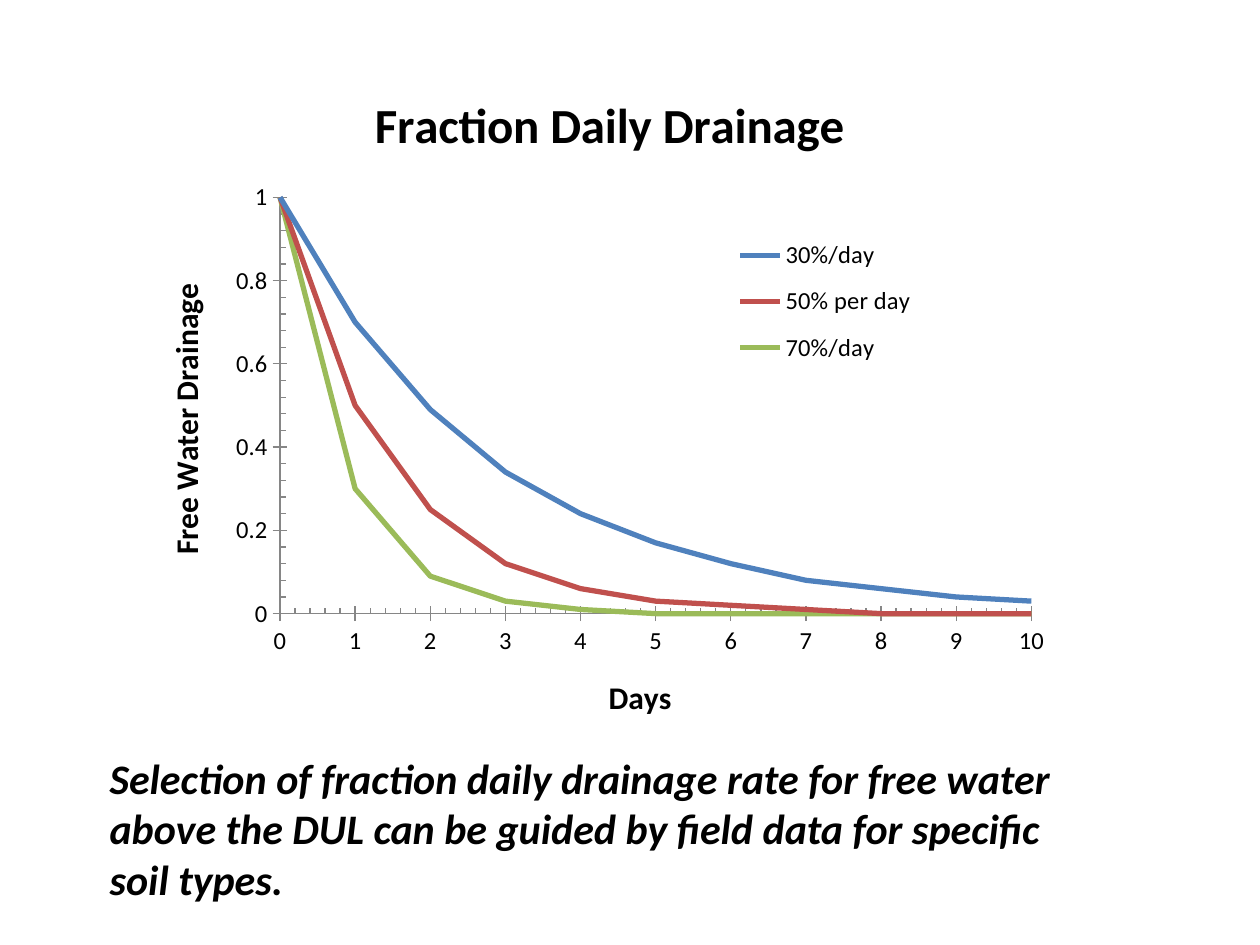
from dataclasses import dataclass

from lxml import etree
from pptx import Presentation
from pptx.chart.data import XyChartData
from pptx.dml.color import RGBColor
from pptx.enum.chart import XL_CHART_TYPE, XL_LEGEND_POSITION, XL_TICK_MARK
from pptx.enum.text import MSO_AUTO_SIZE
from pptx.oxml.ns import qn
from pptx.util import Cm, Pt

SCATTER_LINES = XL_CHART_TYPE.XY_SCATTER_LINES_NO_MARKERS
LEGEND_RIGHT = XL_LEGEND_POSITION.RIGHT
TICK_CROSS = XL_TICK_MARK.CROSS
TICK_INSIDE = XL_TICK_MARK.INSIDE
GROW_TO_TEXT = MSO_AUTO_SIZE.SHAPE_TO_FIT_TEXT
LAST_DAY = 10


@dataclass(frozen=True)
class Theme:
    font: str = "Calibri"
    text: RGBColor = RGBColor(0, 0, 0)
    axis: RGBColor = RGBColor(0x86, 0x86, 0x86)
    title_size: Pt = Pt(28)
    axis_title_size: Pt = Pt(18)
    label_size: Pt = Pt(14)
    note_size: Pt = Pt(24)
    curve_width: Pt = Pt(3)
    axis_width: Pt = Pt(0.75)


@dataclass(frozen=True)
class DrainageCurve:
    name: str
    daily_fraction: float
    color: RGBColor

    def remaining(self, day: int) -> float:
        return round((1 - self.daily_fraction) ** day, 2)


@dataclass(frozen=True)
class AxisScale:
    title: str
    maximum: float
    major: float


@dataclass(frozen=True)
class Frame:
    """Position and size as fractions of the chart area."""
    x: float
    y: float
    w: float
    h: float


THEME = Theme()
CURVES = (
    DrainageCurve("30%/day", 0.3, RGBColor(0x4F, 0x81, 0xBD)),
    DrainageCurve("50% per day", 0.5, RGBColor(0xC0, 0x50, 0x4D)),
    DrainageCurve("70%/day", 0.7, RGBColor(0x9B, 0xBB, 0x59)),
)
DAYS_AXIS = AxisScale("Days", LAST_DAY, 1)
WATER_AXIS = AxisScale("Free Water Drainage", 1, 0.2)
PLOT_FRAME = Frame(0.18, 0.2, 0.73, 0.62)
LEGEND_FRAME = Frame(0.59, 0.24, 0.24, 0.23)
NOTE = ("Selection of fraction daily drainage rate for free water above the DUL "
        "can be guided by field data for specific soil types.")


def style_font(font, size: Pt, bold: bool = False, italic: bool = False) -> None:
    font.name = THEME.font
    font.size = size
    font.bold = bold
    font.italic = italic
    font.color.rgb = THEME.text


def add_run(paragraph, text: str, size: Pt, italic: bool = False) -> None:
    run = paragraph.add_run()
    run.text = text
    style_font(run.font, size, bold=True, italic=italic)


def set_layout(element, frame: Frame, index: int, inner: bool = False) -> None:
    """Give a chart part a manual layout as its child at the index."""
    for old_layout in element.findall(qn("c:layout")):
        element.remove(old_layout)
    layout = etree.Element(qn("c:layout"))
    manual = etree.SubElement(layout, qn("c:manualLayout"))
    settings = [("layoutTarget", "inner")] if inner else []
    settings += [("xMode", "edge"), ("yMode", "edge")]
    settings += [(side, str(getattr(frame, side))) for side in ("x", "y", "w", "h")]
    for tag, value in settings:
        etree.SubElement(manual, qn(f"c:{tag}")).set("val", value)
    element.insert(index, layout)


def style_axis(axis, scale: AxisScale) -> None:
    axis.minimum_scale = 0
    axis.maximum_scale = scale.maximum
    axis.major_unit = scale.major
    axis.minor_unit = round(scale.major / 5, 2)
    axis.major_tick_mark = TICK_CROSS
    axis.minor_tick_mark = TICK_INSIDE
    axis.has_major_gridlines = False
    axis.format.line.color.rgb = THEME.axis
    axis.format.line.width = THEME.axis_width
    axis.tick_labels.number_format = "General"
    axis.tick_labels.number_format_is_linked = False
    style_font(axis.tick_labels.font, THEME.label_size)
    paragraph = axis.axis_title.text_frame.paragraphs[0]
    add_run(paragraph, scale.title, THEME.axis_title_size)


def add_drainage_chart(slide) -> None:
    data = XyChartData()
    for curve in CURVES:
        points = data.add_series(curve.name)
        for day in range(LAST_DAY + 1):
            points.add_data_point(day, curve.remaining(day))
    chart = slide.shapes.add_chart(
        SCATTER_LINES, Cm(1.91), Cm(1.27), Cm(20.75), Cm(13.54), data).chart
    style_font(chart.font, THEME.label_size)
    add_run(chart.chart_title.text_frame.paragraphs[0],
            "Fraction Daily Drainage", THEME.title_size)
    chart.chart_title.include_in_layout = False

    plot = chart.plots[0]
    plot.vary_by_categories = False
    for series, curve in zip(plot.series, CURVES):
        series.smooth = False
        series.format.line.color.rgb = curve.color
        series.format.line.width = THEME.curve_width
    style_axis(chart.category_axis, DAYS_AXIS)
    style_axis(chart.value_axis, WATER_AXIS)

    chart.has_legend = True
    legend = chart.legend
    legend.position = LEGEND_RIGHT
    legend.include_in_layout = False
    style_font(legend.font, THEME.label_size)
    chart_space = chart.element
    set_layout(chart_space.find(".//" + qn("c:plotArea")), PLOT_FRAME, 0, inner=True)
    set_layout(chart_space.find(".//" + qn("c:legend")), LEGEND_FRAME, 1)


def add_note(slide) -> None:
    box = slide.shapes.add_textbox(Cm(1.96), Cm(15.04), Cm(19.69), Cm(3.33))
    box.text_frame.word_wrap = True
    box.text_frame.auto_size = GROW_TO_TEXT
    add_run(box.text_frame.paragraphs[0], NOTE, THEME.note_size, italic=True)


def main() -> None:
    presentation = Presentation()
    presentation.slide_width = Cm(25.4)
    presentation.slide_height = Cm(19.05)
    slide = presentation.slides.add_slide(presentation.slide_layouts[6])
    add_drainage_chart(slide)
    add_note(slide)
    presentation.save("out.pptx")


if __name__ == "__main__":
    main()
